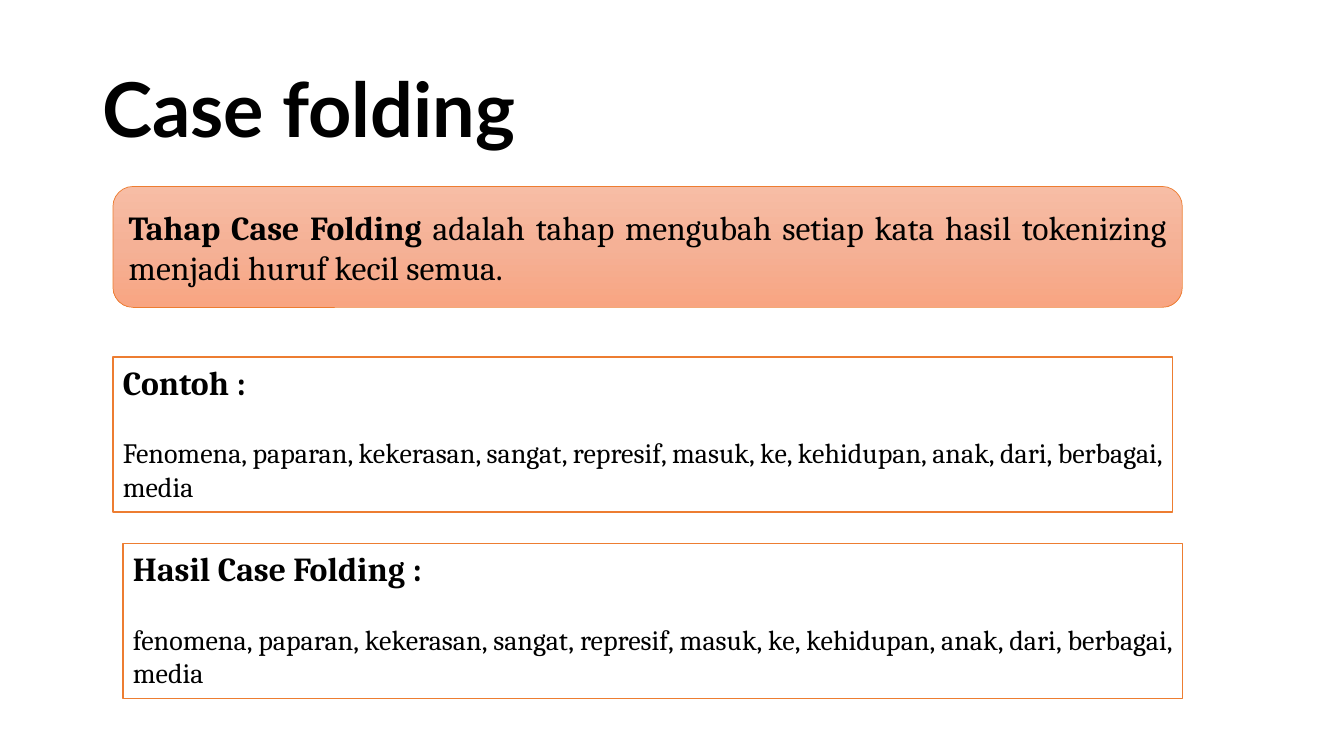
"""Build the Case folding slide."""
from copy import deepcopy
from pptx import Presentation
from pptx.dml.color import RGBColor
from pptx.enum.shapes import MSO_SHAPE
from pptx.enum.text import MSO_ANCHOR, PP_ALIGN
from pptx.oxml.ns import qn
from pptx.util import Pt

HUES = {"ink": "000000", "paper": "FFFFFF", "edge": "ED7D31",
        "top": "F7BDA5", "mid": "F5B196", "low": "F8A582"}


def hue(name):
    return RGBColor.from_string(HUES[name])


def write(para, text, size=24, font="Cambria", bold=False, align=PP_ALIGN.JUSTIFY):
    para.alignment = align
    run = para.add_run()
    run.text = text
    run.font.size = Pt(size)
    run.font.name = font
    run.font.bold = bold
    run.font.color.rgb = hue("ink")


deck = Presentation()
deck.slide_width, deck.slide_height = Pt(960), Pt(540)
slide = deck.slides.add_slide(deck.slide_layouts[6])

title = slide.shapes.add_textbox(Pt(66), Pt(28.8), Pt(828), Pt(104.4)).text_frame
title.word_wrap = True
title.vertical_anchor = MSO_ANCHOR.MIDDLE
title.paragraphs[0].line_spacing = 0.9
write(title.paragraphs[0], "Case folding", size=54, font="Lato", bold=True,
      align=PP_ALIGN.LEFT)

card = slide.shapes.add_shape(MSO_SHAPE.ROUNDED_RECTANGLE,
                              Pt(80.64), Pt(133.2), Pt(763.92), Pt(86.4))
card.shadow.inherit = False
card.line.color.rgb = hue("edge")
card.line.width = Pt(0.5)
card.fill.gradient()
card.fill.gradient_angle = 270
stops = card._element.spPr.find(qn("a:gradFill")).find(qn("a:gsLst"))
stops.append(deepcopy(stops[0]))
for stop, place, name in zip(card.fill.gradient_stops, (0, 0.5, 1), ("top", "mid", "low")):
    stop.position = place
    stop.color.rgb = hue(name)
card.text_frame.word_wrap = True
card.text_frame.vertical_anchor = MSO_ANCHOR.MIDDLE
lead = card.text_frame.paragraphs[0]
write(lead, "Tahap Case Folding ", bold=True)
write(lead, "adalah tahap mengubah setiap kata hasil tokenizing menjadi huruf kecil semua.")

words = "enomena, paparan, kekerasan, sangat, represif, masuk, ke, kehidupan, anak, dari, berbagai, media"
for left, top, head, first in ((80.64, 254.88, "Contoh :", "F"),
                               (87.84, 388.08, "Hasil Case Folding :", "f")):
    box = slide.shapes.add_shape(MSO_SHAPE.RECTANGLE, Pt(left), Pt(top), Pt(756.72), Pt(110.88))
    box.shadow.inherit = False
    box.fill.solid()
    box.fill.fore_color.rgb = hue("paper")
    box.line.color.rgb = hue("edge")
    box.line.width = Pt(1)
    frame = box.text_frame
    frame.word_wrap = True
    frame.vertical_anchor = MSO_ANCHOR.TOP
    write(frame.paragraphs[0], head, bold=True)
    body = frame.add_paragraph()
    body.space_before = Pt(24)
    write(body, first + words, size=20)

deck.save("out.pptx")
